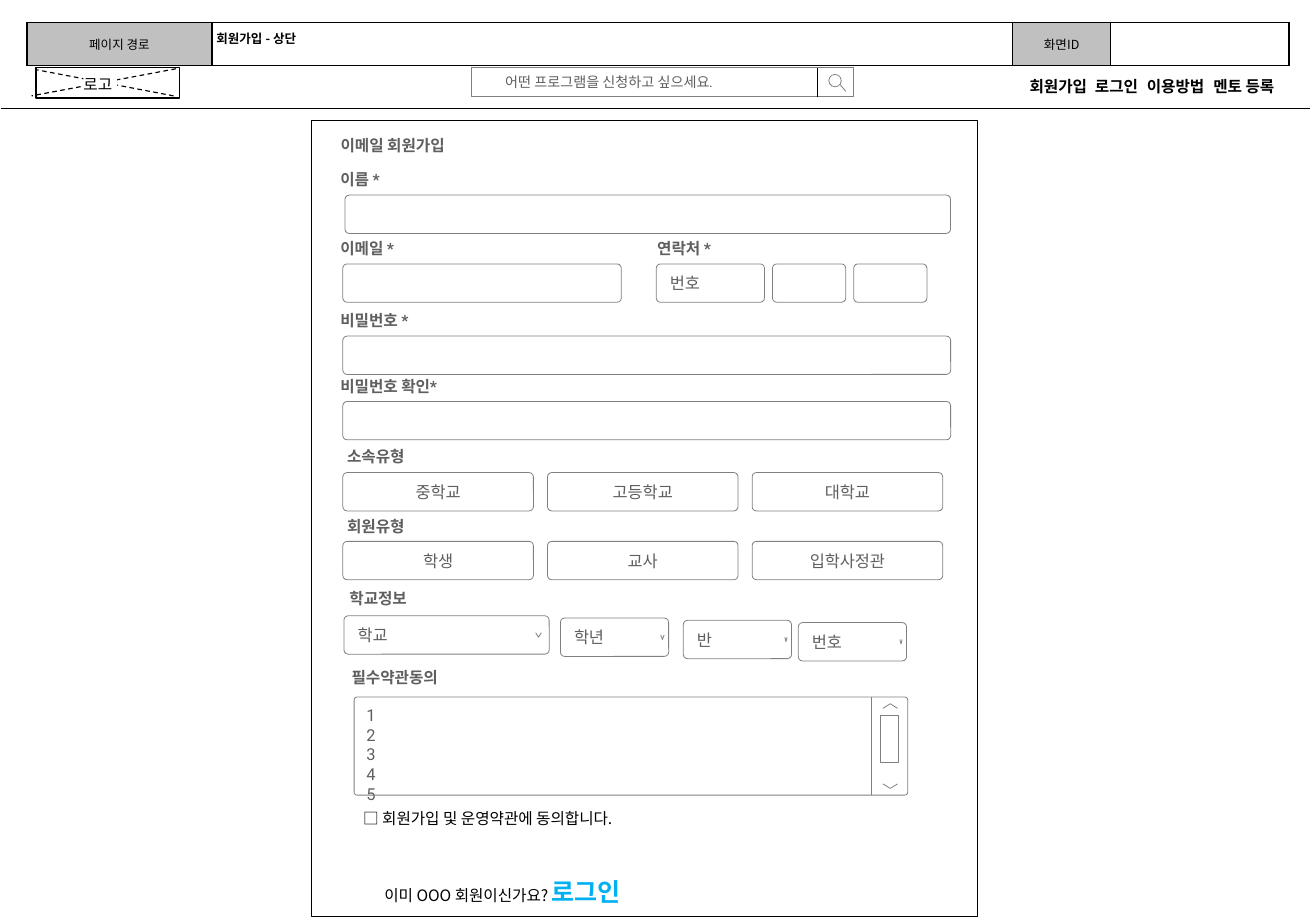
from typing import NamedTuple

import pptx
import pptx.dml.color
import pptx.enum.dml
import pptx.enum.shapes
import pptx.enum.text
import pptx.oxml
import pptx.oxml.ns
import pptx.util

Inches, Pt = pptx.util.Inches, pptx.util.Pt
SHAPE = pptx.enum.shapes.MSO_SHAPE
ALIGN = pptx.enum.text.PP_ALIGN
ANCHOR = pptx.enum.text.MSO_ANCHOR
KR, LATIN = "Noto Sans CJK KR", "Roboto"
BLACK, WHITE, GRAY, TEXT, HEADER = "000000", "FFFFFF", "808080", "5F5F5F", "C0C0C0"
BOX_INSET, DROP_INSET, SMALL_INSET = (0.1, 0.07, 0.1, 0.07), (0.11, 0.07, 0.3, 0.07), (0.06, 0.04, 0.06, 0.04)


class Run(NamedTuple):
    text: str
    size: float = 10
    font: str = LATIN
    color: str = TEXT
    bold: bool = False


class Label(NamedTuple):
    text: str
    x: float
    y: float
    w: float
    wrap: bool = False


class Field(NamedTuple):
    x: float
    y: float
    w: float
    text: str = ""
    align: ALIGN = ALIGN.CENTER
    inset: tuple = BOX_INSET


class Dropdown(NamedTuple):
    text: str
    x: float
    w: float
    arrow_x: float
    arrow_w: float


def rgb(color: str) -> pptx.dml.color.RGBColor:
    return pptx.dml.color.RGBColor.from_string(color)


def set_all(obj, values: dict) -> None:
    for name, value in values.items():
        setattr(obj, name, value)


def write(tf, paragraphs: list, align=ALIGN.LEFT, anchor=ANCHOR.TOP,
          inset=(0.1, 0.05, 0.1, 0.05), wrap=True) -> None:
    sides = ("margin_left", "margin_top", "margin_right", "margin_bottom")
    set_all(tf, dict(zip(sides, map(Inches, inset))))
    set_all(tf, {"word_wrap": wrap, "vertical_anchor": anchor,
                 "auto_size": pptx.enum.text.MSO_AUTO_SIZE.NONE})
    for i, runs in enumerate(paragraphs):
        p = tf.add_paragraph() if i else tf.paragraphs[0]
        set_all(p, {"alignment": align, "space_before": Pt(0)})
        for run in runs:
            r = p.add_run()
            r.text = run.text
            set_all(r.font, {"size": Pt(run.size), "name": run.font, "bold": run.bold})
            r.font.color.rgb = rgb(run.color)
            ea = pptx.oxml.ns.qn("a:ea")
            r._r.get_or_add_rPr().makeelement(ea)
            east = pptx.oxml.parse_xml(f'<a:ea {pptx.oxml.ns.nsdecls("a")} typeface="{KR}"/>')
            r._r.get_or_add_rPr().append(east)


def style(sp, fill: str = "", line: str = GRAY, width: float = 0.5) -> None:
    sp.shadow.inherit = False
    if fill:
        sp.fill.solid()
        sp.fill.fore_color.rgb = rgb(fill)
    else:
        sp.fill.background()
    if line:
        sp.line.color.rgb = rgb(line)
        sp.line.width = Pt(width)
    else:
        sp.line.fill.background()


def add_box(s, x: float, y: float, w: float, h: float, kind=SHAPE.RECTANGLE, radius=None, **look):
    sp = s.shapes.add_shape(kind, *map(Inches, (x, y, w, h)))
    if radius is not None:
        sp.adjustments[0] = radius
    style(sp, **look)
    return sp


def add_field(s, field: Field) -> None:
    sp = add_box(s, field.x, field.y, field.w, 0.34, SHAPE.ROUNDED_RECTANGLE, 0.11, fill=WHITE)
    if field.text:
        write(sp.text_frame, [[Run(field.text, 10.5)]], field.align, ANCHOR.MIDDLE, field.inset)


def add_text(s, x: float, y: float, w: float, h: float, runs: list, **layout):
    sp = s.shapes.add_textbox(*map(Inches, (x, y, w, h)))
    write(sp.text_frame, [runs], **layout)
    return sp


def add_line(s, x1: float, y1: float, x2: float, y2: float, color=BLACK, width=0.75, dash=False) -> None:
    c = s.shapes.add_connector(pptx.enum.shapes.MSO_CONNECTOR.STRAIGHT, *map(Inches, (x1, y1, x2, y2)))
    c.line.color.rgb = rgb(color)
    c.line.width = Pt(width)
    if dash:
        c.line.dash_style = pptx.enum.dml.MSO_LINE.DASH
    c._element.spPr.append(pptx.oxml.parse_xml(f'<a:effectLst {pptx.oxml.ns.nsdecls("a")}/>'))


def add_chevron(s, x: float, y: float, w: float, tip_y: float) -> None:
    start, tip, end = [(Inches(a), Inches(b)) for a, b in ((x, y), (x + w / 2, tip_y), (x + w, y))]
    builder = s.shapes.build_freeform(*start)
    builder.add_line_segments([tip, end], close=False)
    style(builder.convert_to_shape())


def place(sp, x: float, y: float, w: float, h: float) -> None:
    set_all(sp, dict(zip(("left", "top", "width", "height"), map(Inches, (x, y, w, h)))))


def add_header(s) -> None:
    frame = s.shapes.add_table(1, 4, *map(Inches, (0.24, 0.2, 11.18, 0.3)))
    table = frame.table
    set_all(table, {"first_row": False, "horz_banding": False})
    table.rows[0].height = Inches(0.3)
    columns = ((1.64, "페이지 경로"), (7.1, ""), (0.87, "화면ID"), (1.58, ""))
    for i, (width, text) in enumerate(columns):
        table.columns[i].width = Inches(width)
        cell = table.cell(0, i)
        cell.fill.solid()
        cell.fill.fore_color.rgb = rgb(HEADER if text else WHITE)
        cell.vertical_anchor = ANCHOR.MIDDLE
        write(cell.text_frame, [[Run(text, 8, KR, BLACK)]], ALIGN.CENTER, ANCHOR.MIDDLE)
        tcPr = cell._tc.get_or_add_tcPr()
        for n, side in enumerate(("lnL", "lnR", "lnT", "lnB")):
            tcPr.insert(n, pptx.oxml.parse_xml(
                f'<a:{side} {pptx.oxml.ns.nsdecls("a")} w="12700"><a:solidFill>'
                f'<a:srgbClr val="{BLACK}"/></a:solidFill></a:{side}>'))
    add_text(s, 1.82, 0.2, 7.01, 0.28, [Run("회원가입 - 상단", 8, KR, BLACK, True)],
             anchor=ANCHOR.MIDDLE, inset=(0.1, 0.04, 0.1, 0.04))


def add_top_bar(s) -> None:
    add_line(s, 0.01, 0.96, 11.62, 0.96)
    # Search box with magnifier
    search = add_box(s, 4.18, 0.6, 3.39, 0.26, fill=WHITE)
    write(search.text_frame, [[Run("어떤 프로그램을 신청하고 싶으세요.", 9)]],
          anchor=ANCHOR.MIDDLE, inset=(0.3, 0.06, 0.1, 0.06))
    add_box(s, 7.35, 0.66, 0.11, 0.11, SHAPE.OVAL, fill=WHITE)
    add_line(s, 7.45, 0.75, 7.5, 0.81, GRAY, 0.5)
    add_line(s, 7.25, 0.6, 7.25, 0.86)
    # Logo slot
    add_box(s, 0.32, 0.6, 1.27, 0.27, line=BLACK, width=0.75)
    add_line(s, 1.56, 0.61, 0.28, 0.85, dash=True)
    add_line(s, 1.54, 0.85, 0.33, 0.62, dash=True)
    logo = add_box(s, 0.74, 0.66, 0.3, 0.17, fill=WHITE, line="")
    write(logo.text_frame, [[Run("로고", 10, KR, BLACK)]], inset=(0, 0, 0, 0), anchor=ANCHOR.MIDDLE, wrap=False)
    # Menu on tab stops
    menu = add_text(s, 9.07, 0.64, 2.52, 0.25, [Run("회원가입\t로그인\t이용방법\t멘토 등록", 10, KR, BLACK, True)],
                    inset=SMALL_INSET)
    stops = "".join(f'<a:tab pos="{Inches(x)}" algn="l"/>' for x in (0.58, 1.04, 1.63))
    menu.text_frame.paragraphs[0]._p.get_or_add_pPr().append(
        pptx.oxml.parse_xml(f'<a:tabLst {pptx.oxml.ns.nsdecls("a")}>{stops}</a:tabLst>'))


def add_form(s) -> None:
    add_box(s, 2.76, 1.07, 5.91, 7.06, line=BLACK, width=0.75)
    title = s.shapes.title
    place(title, 2.92, 1.15, 1.22, 0.27)
    write(title.text_frame, [[Run("이메일 회원가입", bold=True)]], wrap=False)
    labels = [Label("이름 *", 2.92, 1.46, 0.62), Label("이메일 *", 2.92, 2.07, 0.76),
              Label("연락처 *", 5.73, 2.07, 0.76), Label("비밀번호 *", 2.92, 2.71, 0.9),
              Label("비밀번호 확인*", 2.92, 3.29, 1.17), Label("소속유형", 2.98, 3.91, 0.76),
              Label("회원유형", 2.98, 4.53, 0.85, True), Label("학교정보", 3, 5.17, 0.85, True),
              Label("필수약관동의", 3.02, 5.87, 1.56, True)]
    for label in labels:
        add_text(s, label.x, label.y, label.w, 0.27, [Run(label.text, bold=True)], wrap=label.wrap)
    # Input fields and choice buttons
    fields = [Field(3.06, 1.73, 5.37), Field(3.04, 2.34, 2.47), Field(3.04, 2.98, 5.39),
              Field(3.04, 3.56, 5.39), Field(6.85, 2.34, 0.65), Field(7.57, 2.34, 0.65),
              Field(5.82, 2.34, 0.96, "번호", ALIGN.LEFT, DROP_INSET)]
    choices = ((4.19, ("중학교", "고등학교", "대학교")), (4.8, ("학생", "교사", "입학사정관")))
    fields += [Field(3.04 + 1.815 * i, y, 1.69, text) for y, row in choices for i, text in enumerate(row)]
    for field in fields:
        add_field(s, field)
    # School dropdowns, each a little lower
    dropdowns = [Dropdown("학교", 3.05, 1.82, 4.75, 0.05), Dropdown("학년", 4.97, 0.96, 5.86, 0.03),
                 Dropdown("반", 6.06, 0.96, 6.96, 0.02), Dropdown("번호", 7.08, 0.96, 7.98, 0.02)]
    for i, d in enumerate(dropdowns):
        y = 5.46 + 0.02 * i
        add_field(s, Field(d.x, y, d.w, d.text, ALIGN.LEFT, DROP_INSET))
        add_chevron(s, d.arrow_x, y + 0.15, d.arrow_w, y + 0.19)


def add_terms(s) -> None:
    add_box(s, 3.14, 6.18, 4.91, 0.87, SHAPE.ROUNDED_RECTANGLE, 0.03)
    body = s.placeholders[1]
    place(body, 3.14, 6.18, 4.59, 0.87)
    write(body.text_frame, [[Run(str(n), 10.5)] for n in range(1, 6)], inset=DROP_INSET)
    for p in body.text_frame.paragraphs:
        pPr = p._p.get_or_add_pPr()
        pPr.set("marL", "0")
        pPr.set("indent", "0")
        pPr.append(pptx.oxml.parse_xml(f'<a:buNone {pptx.oxml.ns.nsdecls("a")}/>'))
    # Scroll bar
    add_box(s, 7.81, 6.34, 0.16, 0.42, fill=WHITE)
    add_chevron(s, 7.83, 6.28, 0.13, 6.24)
    add_chevron(s, 7.83, 6.95, 0.13, 6.99)
    add_line(s, 7.73, 6.18, 7.73, 7.05, GRAY, 0.5)
    # Consent and login
    add_text(s, 3.16, 7.13, 5.28, 0.25, [Run("□ 회원가입 및 운영약관에 동의합니다.", 10, KR, BLACK)], inset=SMALL_INSET)
    add_text(s, 3.31, 7.72, 2.62, 0.37, [Run("이미 OOO 회원이신가요? ", 10, KR, BLACK),
                                         Run("로그인", 16, KR, "00B0F0", True)], wrap=False)


def main() -> None:
    prs = pptx.Presentation()
    set_all(prs, {"slide_width": Inches(11.67), "slide_height": Inches(8.13)})
    s = prs.slides.add_slide(prs.slide_layouts[1])
    for add_part in (add_header, add_top_bar, add_form, add_terms):
        add_part(s)
    prs.save("out.pptx")


if __name__ == "__main__":
    main()
